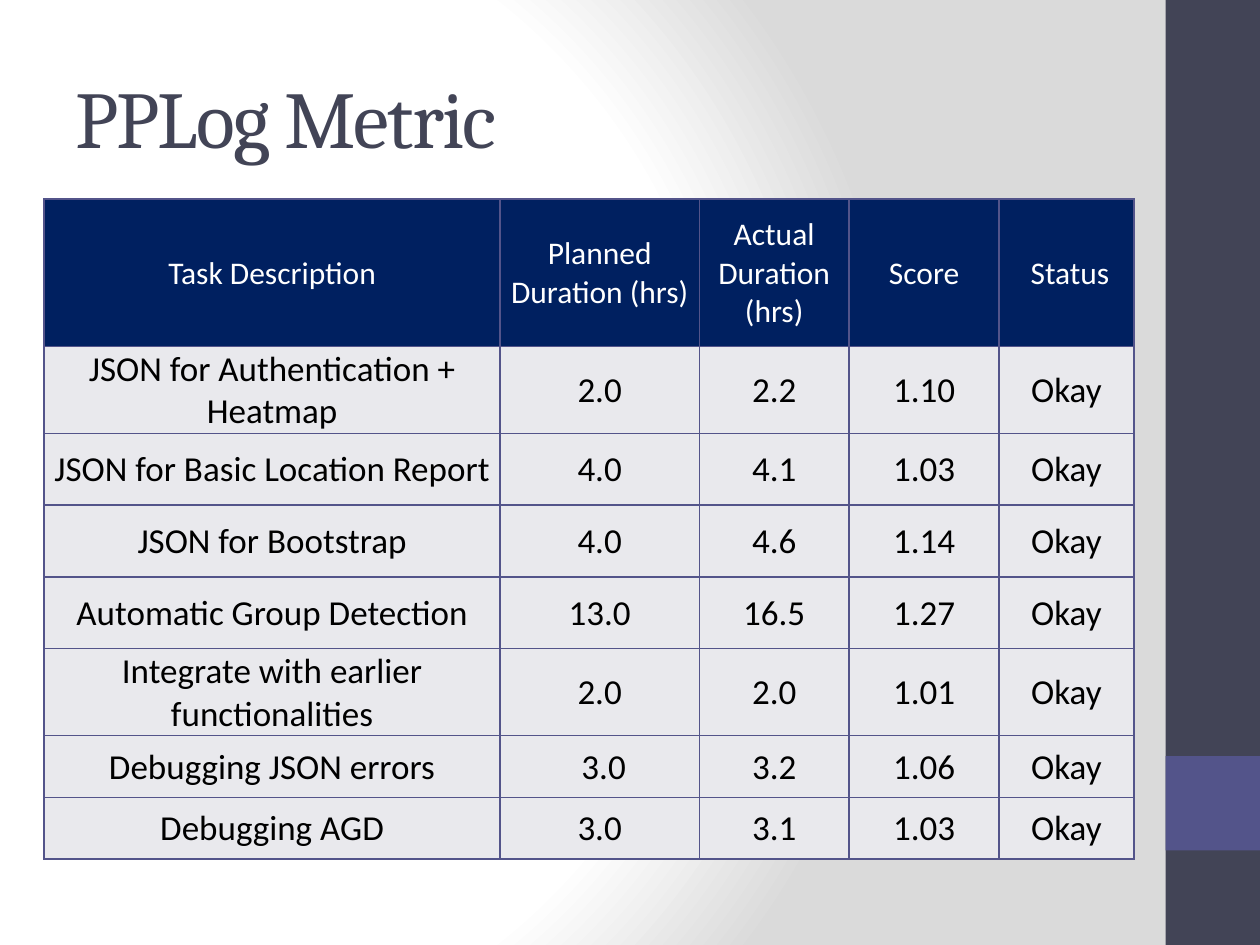
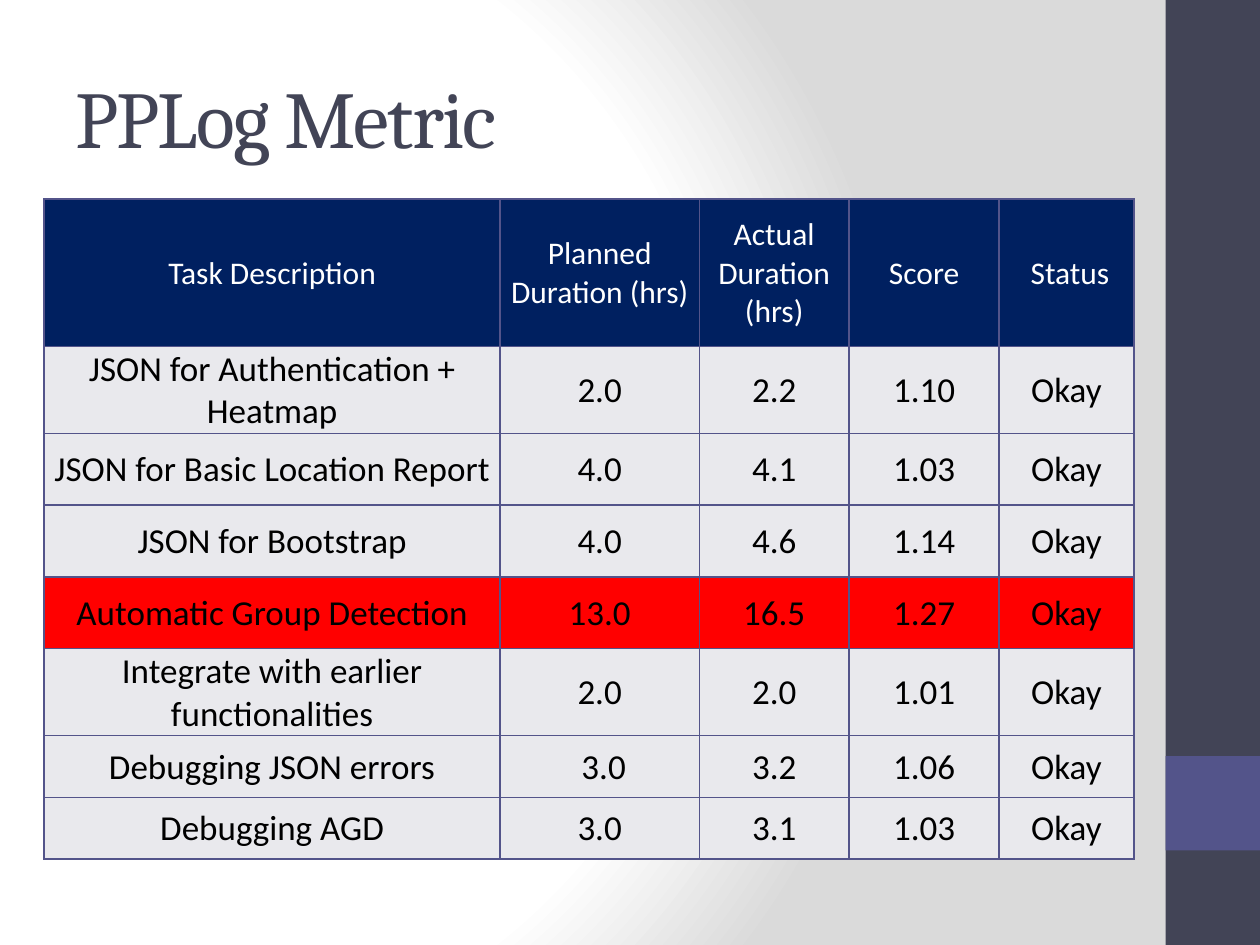
from lxml import etree
from pptx import Presentation
from pptx.dml.color import RGBColor
from pptx.enum.shapes import MSO_SHAPE
from pptx.enum.text import MSO_ANCHOR, PP_ALIGN
from pptx.oxml import parse_xml
from pptx.oxml.ns import qn
from pptx.util import Inches, Pt

RECTANGLE = MSO_SHAPE.RECTANGLE
MIDDLE = MSO_ANCHOR.MIDDLE
CENTER = PP_ALIGN.CENTER
DRAWING = "http://schemas.openxmlformats.org/drawingml/2006/main"

COLORS = {
    "white": "FFFFFF",
    "glow": "DADADA",
    "slate": "424456",
    "violet": "53548A",
    "navy": "002060",
    "pale": "E9E9ED",
    "red": "FF0000",
    "black": "000000",
}
BANDS = [("slate", 0, 7.5), ("violet", 6, 0.75)]
COLUMN_WIDTHS = [3.62, 1.58, 1.19, 1.19, 1.07]
ROW_HEIGHTS = [1.17, 0.69, 0.57, 0.57, 0.57, 0.69, 0.49, 0.49]
METRICS = [
    ("Task Description", "Planned Duration (hrs)", "Actual Duration (hrs)", "Score", " Status"),
    ("JSON for Authentication + Heatmap", "2.0", "2.2", "1.10", "Okay"),
    ("JSON for Basic Location Report", "4.0", "4.1", "1.03", "Okay"),
    ("JSON for Bootstrap", "4.0", "4.6", "1.14", "Okay"),
    ("Automatic Group Detection", "13.0", "16.5", "1.27", "Okay"),
    ("Integrate with earlier functionalities", "2.0", "2.0", "1.01", "Okay"),
    ("Debugging JSON errors", "\u00a03.0", "3.2", "1.06", "Okay"),
    ("Debugging AGD", "3.0", "3.1", "1.03", "Okay"),
]
CELL_FORMAT = {
    "vertical_anchor": MIDDLE,
    "margin_left": Inches(0.01),
    "margin_right": Inches(0.01),
    "margin_top": Inches(0.01),
    "margin_bottom": Inches(0),
}
TITLE_FONT = {"name": "Cambria", "size": Pt(46)}
HEADER_FONT = {"name": "Calibri", "size": Pt(18), "bold": False}
BODY_FONT = {"name": "Calibri", "size": Pt(20), "bold": False}
HIGHLIGHTED_TASKS = [None, "Automatic Group Detection"]


def rgb(name):
    return RGBColor.from_string(COLORS[name])


def write(paragraph, text, font_format, color):
    run = paragraph.add_run()
    run.text = text
    for attribute, value in font_format.items():
        setattr(run.font, attribute, value)
    run.font.color.rgb = rgb(color)
    return run


deck = Presentation()
deck.slide_width = Inches(10)
deck.slide_height = Inches(7.5)

master = deck.slide_master
master.background.fill.gradient()
backdrop = master.element.find(".//" + qn("p:bg")).find(".//" + qn("a:gradFill"))
stops = "".join(
    f'<a:gs pos="{position * 1000}"><a:srgbClr val="{COLORS[color]}"/></a:gs>'
    for position, color in [(0, "white"), (75, "white"), (100, "glow")]
)
backdrop.getparent().replace(backdrop, parse_xml(
    f'<a:gradFill xmlns:a="{DRAWING}" rotWithShape="1"><a:gsLst>{stops}</a:gsLst>'
    '<a:path path="circle"><a:fillToRect l="20000" t="50000" r="100000" b="50000"/>'
    "</a:path></a:gradFill>"
))

for highlighted_task in HIGHLIGHTED_TASKS:
    slide = deck.slides.add_slide(deck.slide_layouts[6])

    for color, top, height in BANDS:
        band = slide.shapes.add_shape(
            RECTANGLE, Inches(9.25), Inches(top), Inches(0.75), Inches(height))
        band.shadow.inherit = False
        band.fill.solid()
        band.fill.fore_color.rgb = rgb(color)
        band.line.fill.background()

    heading = slide.shapes.add_textbox(
        Inches(0.5), Inches(0.3), Inches(8.33), Inches(1.25)).text_frame
    heading.word_wrap = True
    heading.vertical_anchor = MIDDLE
    title = write(heading.paragraphs[0], "PPLog Metric", TITLE_FONT, "slate")
    title.font._element.set("spc", "-100")

    metrics = slide.shapes.add_table(
        len(ROW_HEIGHTS), len(COLUMN_WIDTHS), Inches(0.35), Inches(1.58),
        Inches(sum(COLUMN_WIDTHS)), Inches(sum(ROW_HEIGHTS))).table
    metrics.first_row = False
    metrics.horz_banding = False
    for column, width in zip(metrics.columns, COLUMN_WIDTHS):
        column.width = Inches(width)

    for row_index, (row, height, entries) in enumerate(zip(metrics.rows, ROW_HEIGHTS, METRICS)):
        row.height = Inches(height)
        if row_index == 0:
            fill, font_format, text_color = "navy", HEADER_FONT, "white"
        else:
            fill = "red" if entries[0] == highlighted_task else "pale"
            font_format, text_color = BODY_FONT, "black"
        for cell, entry in zip(row.cells, entries):
            for attribute, value in CELL_FORMAT.items():
                setattr(cell, attribute, value)
            paragraph = cell.text_frame.paragraphs[0]
            paragraph.alignment = CENTER
            write(paragraph, entry, font_format, text_color)
            properties = cell._tc.get_or_add_tcPr()
            for side in ("lnL", "lnR", "lnT", "lnB"):
                border = etree.SubElement(properties, qn("a:" + side), w=str(Pt(1)))
                stroke = etree.SubElement(border, qn("a:solidFill"))
                etree.SubElement(stroke, qn("a:srgbClr"), val=COLORS["violet"])
            cell.fill.solid()
            cell.fill.fore_color.rgb = rgb(fill)

deck.save("out.pptx")
